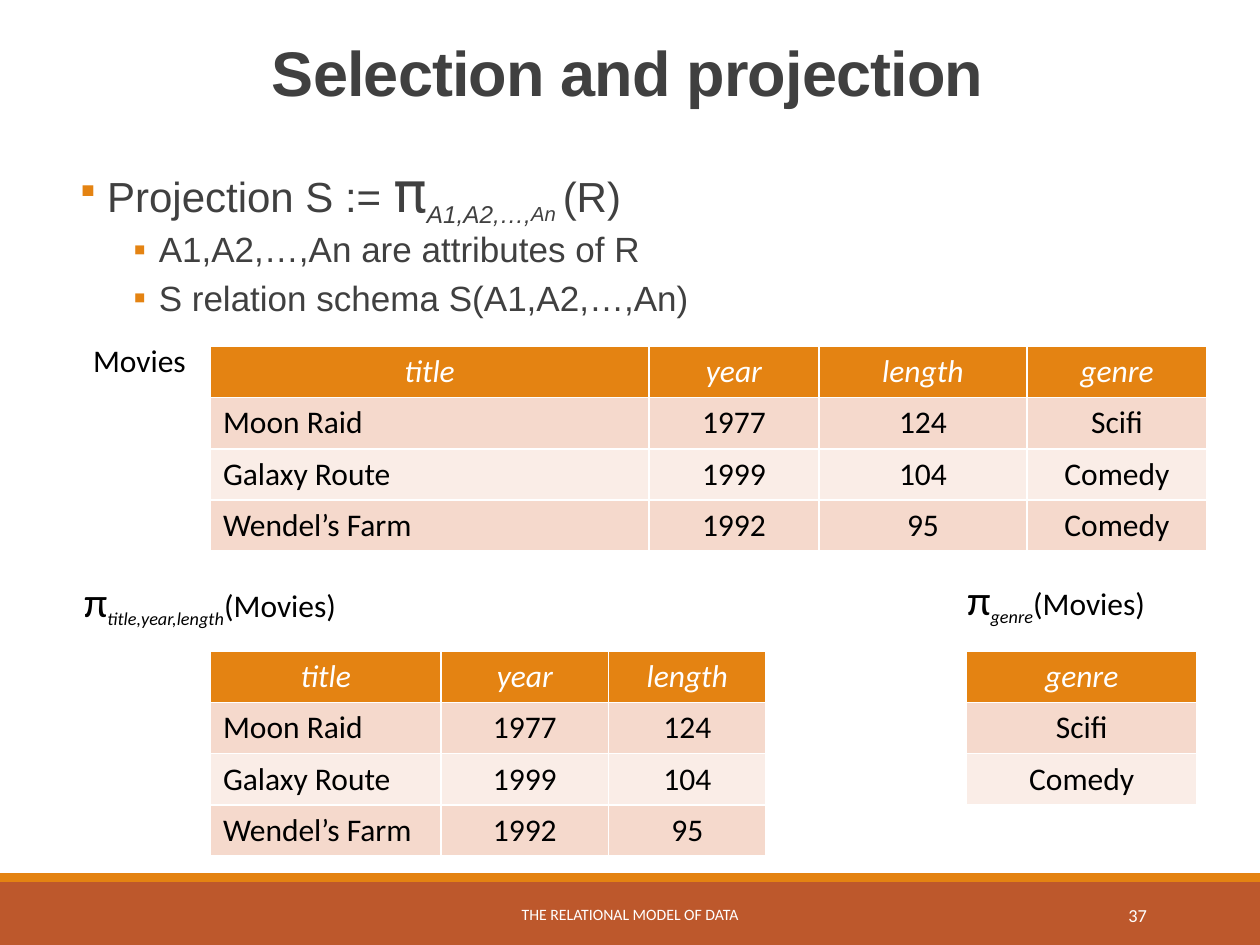
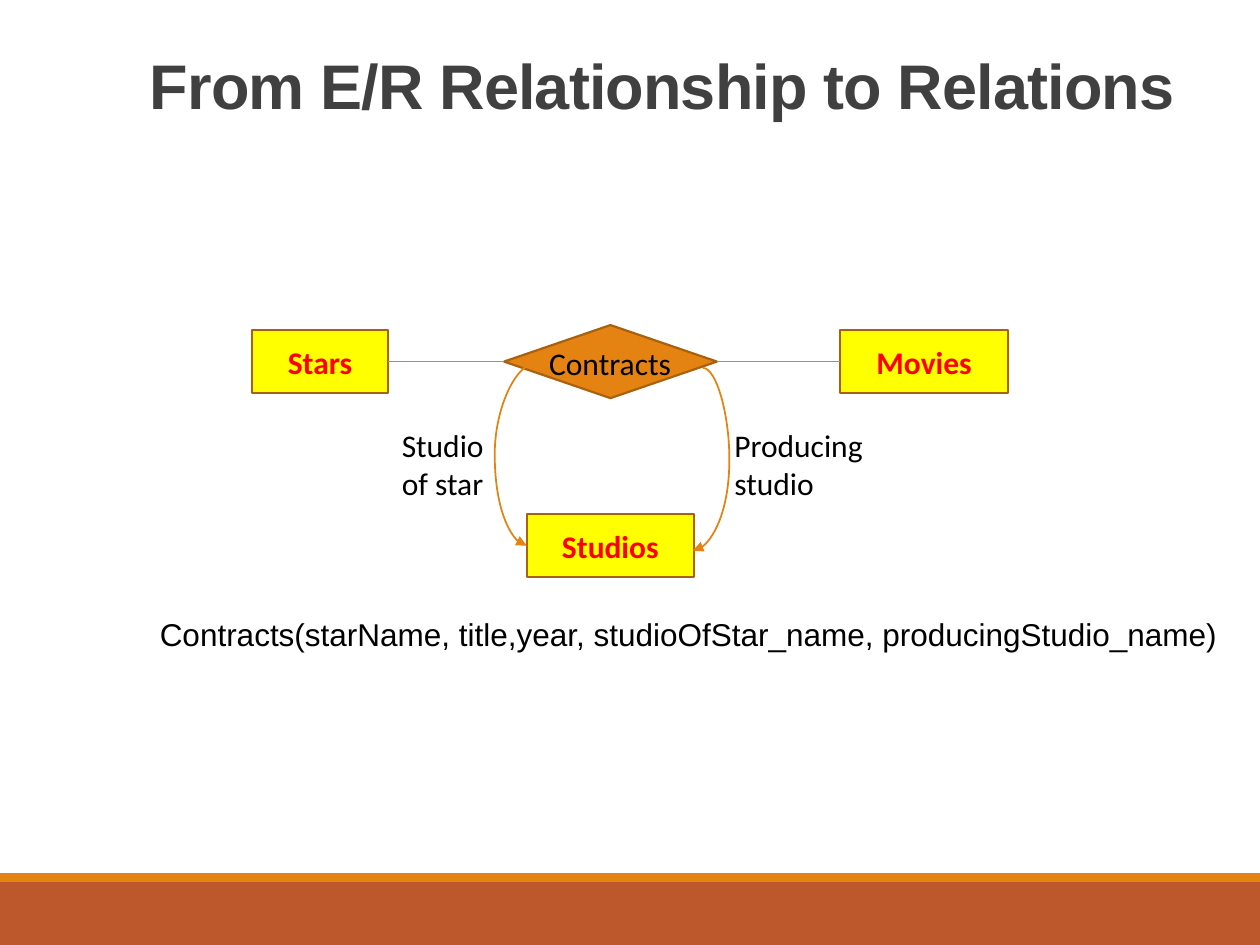
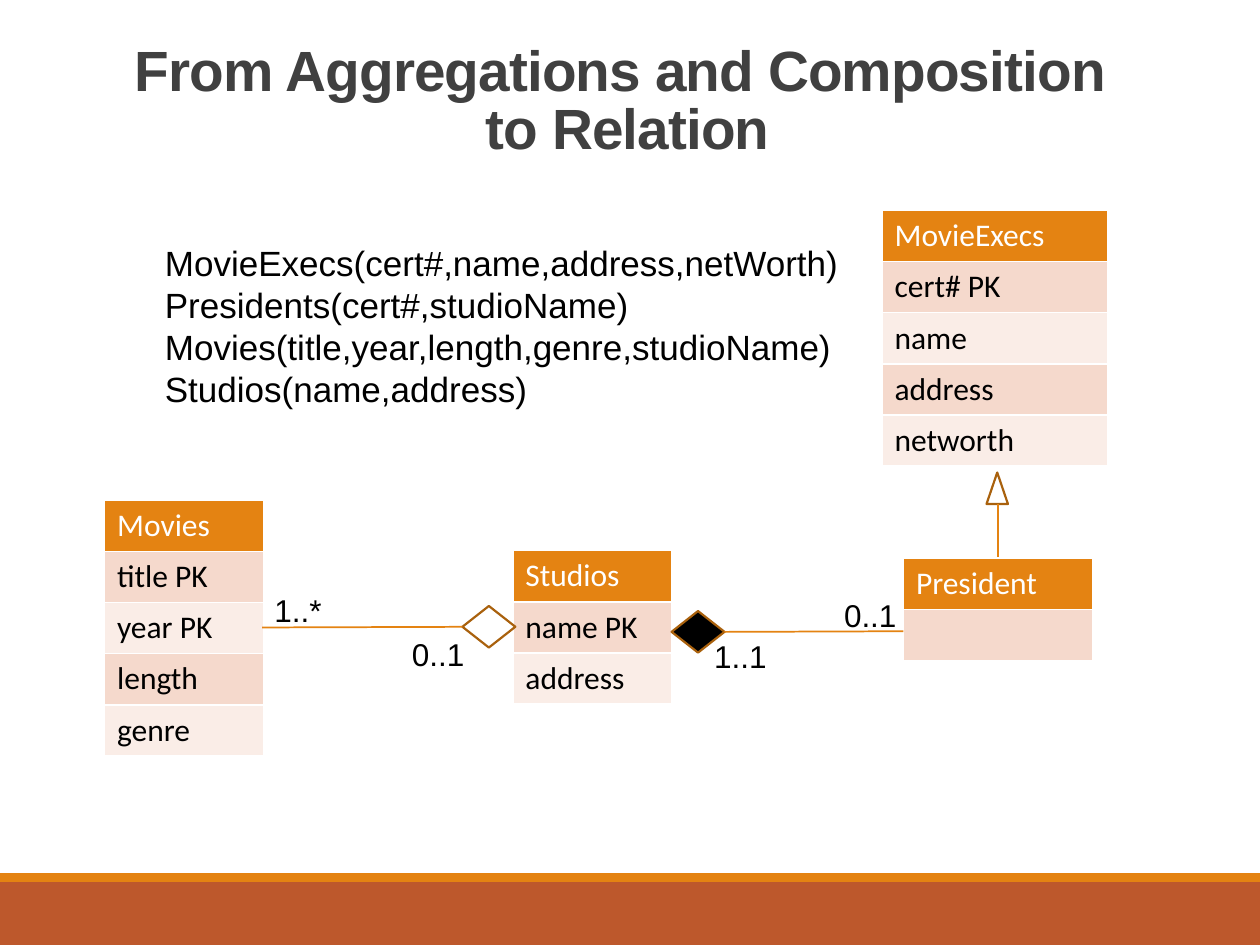
import pptx
import pptx.dml.color
import pptx.enum.shapes
import pptx.enum.text
import pptx.oxml.ns
import pptx.util
import lxml.etree

Inches = pptx.util.Inches
Pt = pptx.util.Pt
RGBColor = pptx.dml.color.RGBColor
Shape = pptx.enum.shapes.MSO_SHAPE
Connector = pptx.enum.shapes.MSO_CONNECTOR
Align = pptx.enum.text.PP_ALIGN
Anchor = pptx.enum.text.MSO_ANCHOR
AutoSize = pptx.enum.text.MSO_AUTO_SIZE
qn = pptx.oxml.ns.qn

ORANGE = RGBColor(0xE4, 0x83, 0x12)
RUST = RGBColor(0xBD, 0x58, 0x2C)
BROWN = RGBColor(0xA9, 0x61, 0x0D)
PINK = RGBColor(0xF5, 0xD9, 0xCC)
PALE = RGBColor(0xFA, 0xED, 0xE7)
YELLOW = RGBColor(0xFF, 0xFF, 0x00)
RED = RGBColor(0xFF, 0x00, 0x00)
GREY = RGBColor(0x40, 0x40, 0x40)
BLACK = RGBColor(0x00, 0x00, 0x00)
WHITE = RGBColor(0xFF, 0xFF, 0xFF)

ROW_HEIGHT = Inches(2.03) // 5


def write(para, text, size=18, font="Calibri", color=BLACK, bold=False,
          italic=False, align=None, baseline=0, spacing=0):
    if align is not None:
        para.alignment = align
    for number, line in enumerate(text.split("\n")):
        if number:
            para.add_line_break()
            lxml.etree.SubElement(para._p[-1], qn("a:rPr"), sz=str(int(size * 100)))
        span = para.add_run()
        span.text = line
        span.font.size = Pt(size)
        span.font.name = font
        span.font.color.rgb = color
        span.font.bold = bold
        span.font.italic = italic
        properties = span._r.get_or_add_rPr()
        if baseline:
            properties.set("baseline", str(baseline * 1000))
        if spacing:
            properties.set("spc", str(int(spacing * 100)))


def add_grid(page, left, top, widths, rows, aligns, head_align=Align.LEFT, head_italic=False):
    frame = page.shapes.add_table(len(rows), len(widths), Inches(left), Inches(top),
                                  Inches(sum(widths)), ROW_HEIGHT * len(rows))
    for column, width in zip(frame.table.columns, widths):
        column.width = Inches(width)
    for r, row in enumerate(rows):
        frame.table.rows[r].height = ROW_HEIGHT
        for c, text in enumerate(row):
            cell = frame.table.cell(r, c)
            cell.fill.solid()
            cell.fill.fore_color.rgb = (PALE, PINK)[r % 2] if r else ORANGE
            if text:
                write(cell.text_frame.paragraphs[0], text,
                      color=BLACK if r else WHITE, italic=head_italic and r == 0,
                      align=aligns[c] if r else head_align)


deck = pptx.Presentation()
deck.slide_width = Inches(10)
deck.slide_height = Inches(7.5)

pages = []
for layout, title, size, align, left, top, height in [
    (1, "Selection and projection", 36, Align.CENTER, 0.64, 0.31, 1.16),
    (5, "From E/R Relationship to Relations", 36, Align.LEFT, 1.09, 0.41, 0.92),
    (5, "From Aggregations and Composition \nto Relation", 32.4, Align.CENTER, 0.64, 0.31, 1.16),
]:
    page = deck.slides.add_slide(deck.slide_layouts[layout])
    box = page.shapes.title
    box.left, box.top, box.width, box.height = Inches(left), Inches(top), Inches(8.68), Inches(height)
    box.text_frame.auto_size = AutoSize.NONE
    box.text_frame.vertical_anchor = Anchor.TOP
    para = box.text_frame.paragraphs[0]
    para.line_spacing = 0.85
    write(para, title, size=size, font="Arial", color=GREY, bold=True, align=align, spacing=-0.5)
    pages.append(page)
projection_page, relationship_page, aggregation_page = pages

master_tree = deck.slide_master.shapes.element
for number, (top, height, color) in enumerate([(7, 0.5, RUST), (6.93, 0.07, ORANGE)]):
    band = projection_page.shapes.add_shape(Shape.RECTANGLE, 0, Inches(top), Inches(10), Inches(height))
    band.shadow.inherit = False
    band.fill.solid()
    band.fill.fore_color.rgb = color
    band.line.fill.background()
    band.element.nvSpPr.cNvPr.set("id", str(100 + number))
    master_tree.insert(2 + number, band.element)

body = projection_page.placeholders[1]
body.left, body.top, body.width, body.height = Inches(0.64), Inches(1.23), Inches(8.68), Inches(5.6)
body.text_frame.auto_size = AutoSize.NONE
body.text_frame.margin_left = body.text_frame.margin_right = 0
bullets = [
    (0, 0.1, -0.1, 0, 2, [
        (" Projection S := ", {"size": 24}),
        ("π", {"size": 32, "font": "DejaVu Sans Mono"}),
        ("A1,A2,…,", {"size": 24, "italic": True, "baseline": -25}),
        ("An", {"size": 20, "italic": True, "baseline": -25}),
        (" ", {"size": 24, "italic": True, "baseline": -25}),
        ("(R)", {"size": 24}),
    ]),
    (1, 0.62, -0.2, 2, 4, [("A1,A2,…,An are attributes of R", {"size": 20})]),
    (1, 0.62, -0.2, 2, 4, [("S relation schema S(A1,A2,…,An)", {"size": 20})]),
]
for number, (level, margin, indent, before, after, spans) in enumerate(bullets):
    para = body.text_frame.add_paragraph() if number else body.text_frame.paragraphs[0]
    para.level = level
    para.line_spacing = 0.9
    para.space_before = Pt(before)
    para.space_after = Pt(after)
    properties = para._p.get_or_add_pPr()
    properties.set("marL", str(Inches(margin)))
    properties.set("indent", str(Inches(indent)))
    bullet_color = lxml.etree.SubElement(properties, qn("a:buClr"))
    lxml.etree.SubElement(bullet_color, qn("a:srgbClr"), val=str(ORANGE))
    lxml.etree.SubElement(properties, qn("a:buFont"), typeface="Calibri")
    lxml.etree.SubElement(properties, qn("a:buChar"), char="▪")
    for text, style in spans:
        write(para, text, **{"font": "Arial", "color": GREY, **style})

movies = [
    ("title", "year", "length", "genre"),
    ("Moon Raid", "1977", "124", "Scifi"),
    ("Galaxy Route", "1999", "104", "Comedy"),
    ("Wendel’s Farm", "1992", "95", "Comedy"),
]
genres = dict.fromkeys(movie[3:] for movie in movies)
movie_aligns = [Align.LEFT] + [Align.CENTER] * 3
for left, top, widths, rows, aligns in [
    (1.67, 2.75, [3.48, 1.35, 1.65, 1.43], movies, movie_aligns),
    (1.67, 5.17, [1.83, 1.33, 1.25], [movie[:3] for movie in movies], movie_aligns),
    (7.67, 5.17, [1.83], list(genres), [Align.CENTER]),
]:
    add_grid(projection_page, left, top, widths, rows, aligns, Align.CENTER, True)

for left, top, width, attributes in [(0.57, 4.52, 2.63, "title,year,length"), (7.58, 4.5, 1.66, "genre")]:
    box = projection_page.shapes.add_textbox(Inches(left), Inches(top), Inches(width), Inches(0.5))
    box.text_frame.word_wrap = False
    para = box.text_frame.paragraphs[0]
    write(para, "π", size=24)
    write(para, attributes, italic=True, baseline=-25)
    write(para, "(Movies)")

for left, top, width, entity in [
    (0.83, 3.97, 1.26, ["Movies", "title PK", "year PK", "length", "genre"]),
    (4.07, 4.37, 1.26, ["Studios", "name PK", "address"]),
    (7.17, 4.43, 1.5, ["President", ""]),
    (7, 1.67, 1.79, ["MovieExecs", "cert# PK", "name", "address", "networth"]),
]:
    add_grid(aggregation_page, left, top, [width], [[field] for field in entity], [Align.LEFT])

symbols = {}
for page, name, kind, left, top, width, height, fill, text in [
    (relationship_page, "stars", Shape.RECTANGLE, 2, 2.62, 1.08, 0.5, YELLOW, "Stars"),
    (relationship_page, "movies", Shape.RECTANGLE, 6.67, 2.62, 1.33, 0.5, YELLOW, "Movies"),
    (relationship_page, "contracts", Shape.DIAMOND, 4, 2.58, 1.69, 0.58, ORANGE, ""),
    (relationship_page, "studios", Shape.RECTANGLE, 4.18, 4.08, 1.33, 0.5, YELLOW, "Studios"),
    (aggregation_page, "inheritance", Shape.ISOSCELES_TRIANGLE, 7.83, 3.75, 0.17, 0.25, None, ""),
    (aggregation_page, "aggregation", Shape.DIAMOND, 3.67, 4.81, 0.42, 0.33, None, ""),
    (aggregation_page, "composition", Shape.DIAMOND, 5.33, 4.85, 0.42, 0.33, BLACK, ""),
]:
    symbol = page.shapes.add_shape(kind, Inches(left), Inches(top), Inches(width), Inches(height))
    symbol.shadow.inherit = False
    symbol.line.color.rgb = BROWN
    symbol.line.width = Pt(1.25)
    if fill is None:
        symbol.fill.background()
    else:
        symbol.fill.solid()
        symbol.fill.fore_color.rgb = fill
    if text:
        symbol.text_frame.vertical_anchor = Anchor.MIDDLE
        write(symbol.text_frame.paragraphs[0], text, color=RED, bold=True, align=Align.CENTER)
    symbols[name] = symbol

for page, start, end, begin_joint, end_joint, bend in [
    (relationship_page, (5.69, 2.87), (6.67, 2.87), ("contracts", 3), ("movies", 1), None),
    (relationship_page, (3.08, 2.87), (4, 2.87), ("stars", 3), ("contracts", 1), None),
    (relationship_page, (4.26, 2.88), (4.18, 4.33), None, None, 4.17),
    (relationship_page, (5.58, 2.92), (5.5, 4.37), None, None, -2.62),
    (aggregation_page, (3.67, 4.98), (2.08, 4.98), ("aggregation", 1), None, None),
    (aggregation_page, (5.75, 5.01), (7.17, 5.01), ("composition", 3), None, None),
    (aggregation_page, (7.92, 4), (7.92, 4.42), None, None, None),
]:
    kind = Connector.STRAIGHT if bend is None else Connector.CURVE
    link = page.shapes.add_connector(kind, *[Inches(value) for value in start + end])
    if begin_joint:
        link.begin_connect(symbols[begin_joint[0]], begin_joint[1])
    if end_joint:
        link.end_connect(symbols[end_joint[0]], end_joint[1])
    link.line.color.rgb = ORANGE
    link.line.width = Pt(1)
    properties = link.element.spPr
    if bend is not None:
        adjustments = properties.find(qn("a:prstGeom")).find(qn("a:avLst"))
        lxml.etree.SubElement(adjustments, qn("a:gd"), name="adj1", fmla=f"val {round(bend * 100000)}")
        lxml.etree.SubElement(properties.find(qn("a:ln")), qn("a:tailEnd"), type="triangle")
    lxml.etree.SubElement(properties, qn("a:effectLst"))

arial = {"font": "Arial"}
for page, left, top, width, height, lines, style in [
    (projection_page, 3.02, 7.06, 3.96, 0.4, ["THE RELATIONAL MODEL OF DATA"],
     {"size": 9, "color": WHITE, "align": Align.CENTER}),
    (projection_page, 8.12, 7.06, 1.08, 0.4, ["37"],
     {"size": 10.5, "color": WHITE, "align": Align.RIGHT}),
    (projection_page, 0.64, 2.66, 1, 0.4, ["Movies"], {}),
    (relationship_page, 4.26, 2.68, 1.99, 0.4, ["Contracts"], {}),
    (relationship_page, 3.09, 3.33, 0.99, 0.71, ["Studio", "of star"], {}),
    (relationship_page, 5.73, 3.33, 1.35, 0.71, ["Producing", "studio"], {}),
    (relationship_page, 1.17, 4.83, 8.6, 0.4,
     ["Contracts(starName, title,year, studioOfStar_name, producingStudio_name)"], arial),
    (aggregation_page, 1.21, 1.87, 5.58, 1.45,
     ["MovieExecs(cert#,name,address,netWorth)", "Presidents(cert#,studioName)",
      "Movies(title,year,length,genre,studioName)", "Studios(name,address)"],
     {"size": 20, "font": "Arial"}),
    (aggregation_page, 2.08, 4.64, 0.58, 0.4, ["1..*"], arial),
    (aggregation_page, 3.17, 4.99, 0.62, 0.4, ["0..1"], arial),
    (aggregation_page, 6.6, 4.68, 0.62, 0.4, ["0..1"], arial),
    (aggregation_page, 5.57, 5.01, 0.62, 0.4, ["1..1"], arial),
]:
    box = page.shapes.add_textbox(Inches(left), Inches(top), Inches(width), Inches(height))
    box.text_frame.word_wrap = "align" in style
    box.text_frame.vertical_anchor = Anchor.MIDDLE if "align" in style else Anchor.TOP
    for number, line in enumerate(lines):
        para = box.text_frame.add_paragraph() if number else box.text_frame.paragraphs[0]
        write(para, line, **style)

deck.save("out.pptx")
